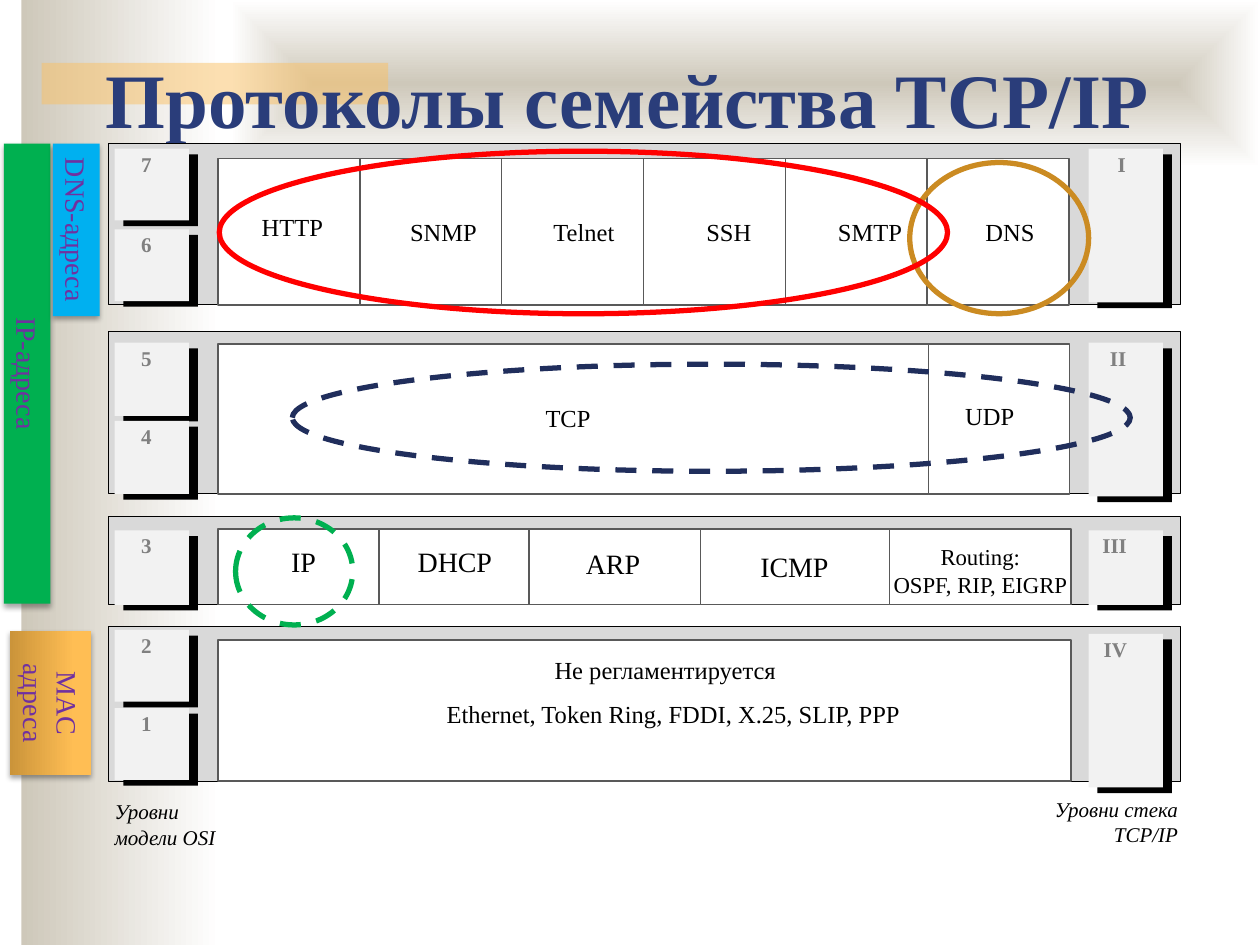
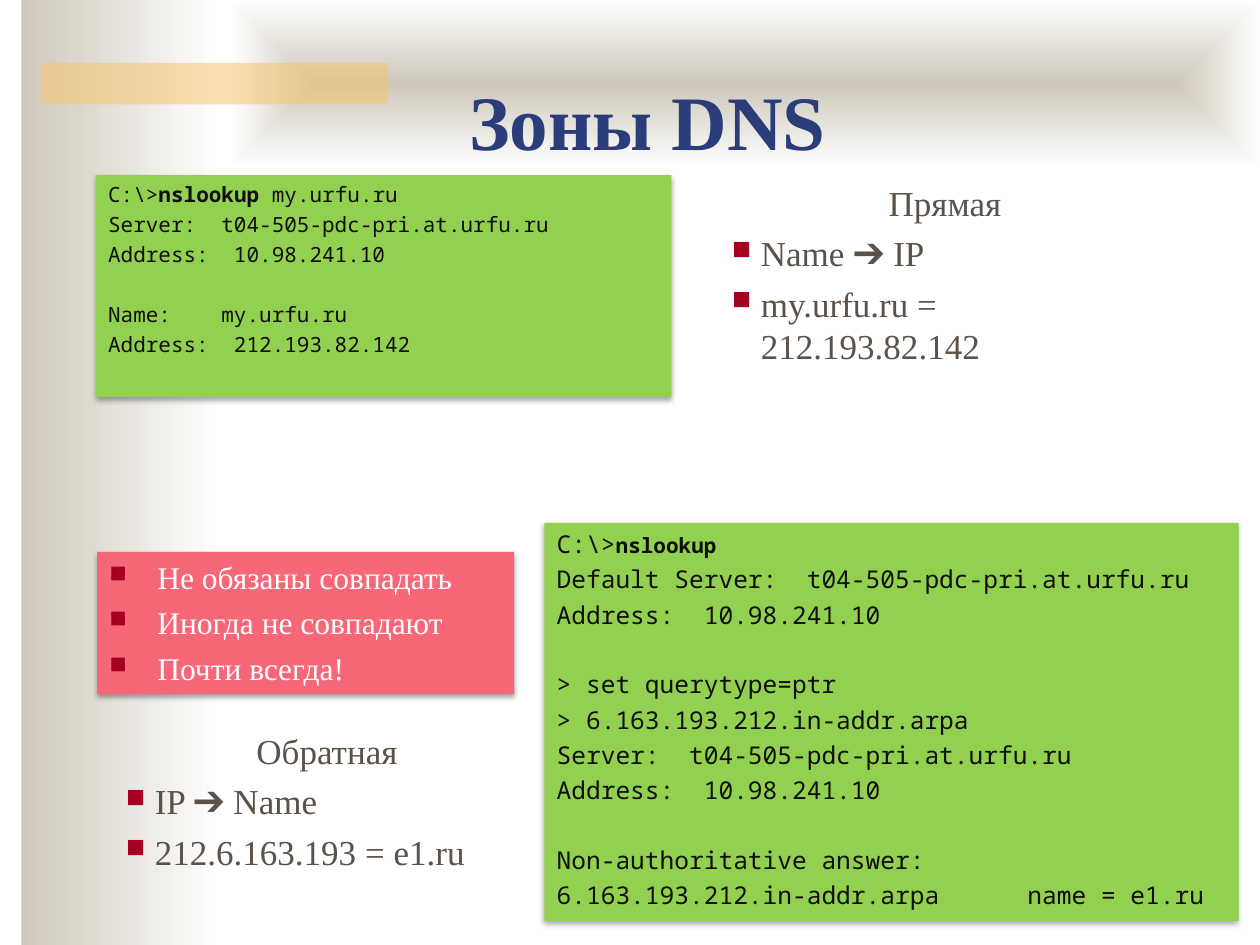
from dataclasses import dataclass
from itertools import accumulate
from typing import NamedTuple

from lxml import etree
from pptx import Presentation
from pptx.dml.color import RGBColor
from pptx.enum.dml import MSO_LINE_DASH_STYLE as Dash
from pptx.enum.shapes import MSO_SHAPE as Kind
from pptx.enum.text import MSO_ANCHOR as Anchor, PP_ALIGN as Align
from pptx.oxml.ns import qn
from pptx.util import Emu, Inches, Pt

# The slide is a grid of 100 columns by 75 rows of square cells.
WIDE, HIGH = Inches(10), Inches(7.5)
CELL = WIDE // 100

BLACK = RGBColor(0x00, 0x00, 0x00)
WHITE = RGBColor(0xFF, 0xFF, 0xFF)
SAND = RGBColor(0xCE, 0xC8, 0xBA)
AMBER = RGBColor(0xFA, 0xC1, 0x64)
NAVY = RGBColor(0x2A, 0x3D, 0x7A)
INK = RGBColor(0x20, 0x2E, 0x5C)
FRAME = RGBColor(0xD9, 0xD9, 0xD9)
TILE = RGBColor(0xF2, 0xF2, 0xF2)
GRAY = RGBColor(0x80, 0x80, 0x80)
EDGE = RGBColor(0x59, 0x59, 0x59)
GREEN = RGBColor(0x00, 0xB0, 0x50)
SKY = RGBColor(0x00, 0xB0, 0xF0)
RED = RGBColor(0xFF, 0x00, 0x00)
OCHRE = RGBColor(0xCB, 0x8B, 0x22)
BRONZE = RGBColor(0xCB, 0x94, 0x3A)
GOLD = RGBColor(0xFF, 0xBE, 0x54)
HONEY = RGBColor(0xFF, 0xBF, 0x56)
PLUM = RGBColor(0x70, 0x30, 0xA0)
LIME = RGBColor(0x92, 0xD0, 0x50)
CODE = RGBColor(0x10, 0x0E, 0x0C)
BROWN = RGBColor(0x5B, 0x52, 0x49)
ROSE = RGBColor(0xF7, 0x67, 0x78)
WINE = RGBColor(0xA5, 0x00, 0x21)

SERIF, MONO = "Times New Roman", "Noto Sans Mono"
BEFORE, BLANK = 0.24, 1.64  # space before a paragraph, in text sizes


class Box(NamedTuple):
    x: float
    y: float
    w: float
    h: float

    def emu(self) -> list[Emu]:
        return [Emu(round(n * CELL)) for n in self]


class Par(NamedTuple):
    text: str
    align: Align | None = None
    indent: float = 0
    blank: bool = False


@dataclass
class Cell:
    width: float
    label: str = ""
    left: float = 0
    top: float = 0
    span: float = 0
    size: int = 14
    align: Align = Align.CENTER


@dataclass
class Layer:
    top: float
    height: float
    tiles: dict[str, float]  # OSI level and its row
    tile: float
    stack: str
    start: float
    depth: float
    left: float
    inner: float
    cells: list[Cell]


class Ring(NamedTuple):
    box: Box
    tint: RGBColor
    dash: bool


class Tag(NamedTuple):
    text: str
    box: Box
    fill: RGBColor | None


LAYERS = [
    Layer(11.4, 12.8, {"7": 11.8, "6": 18.2}, 5.7, "I", 11.8, 12.2, 88.7, 12.6, [
        Cell(11.26, "HTTP", 18.6, 16.8, 9.2),
        Cell(11.26, "SNMP", 30.9, 17.2, 8.6),
        Cell(11.26, "Telnet", 43.3, 17.2, 6.1),
        Cell(11.26, "SSH", 54.2, 17.2, 7.3),
        Cell(11.26, "SMTP", 65, 17.2, 8.1),
        Cell(11.26, "DNS", 76.4, 17.2, 7.5)]),
    Layer(26.3, 12.9, {"5": 27.2, "4": 33.4}, 5.8, "II", 27.2, 12.2, 88.1, 27.3, [
        Cell(56.4, "TCP", 43.3, 32, 6.3, align=Align.LEFT),
        Cell(11.2, "UDP", 76.6, 31.8, 7.3, align=Align.LEFT)]),
    Layer(41, 7, {"3": 42.1}, 5.9, "III", 42.1, 5.9, 87.5, 42, [
        Cell(12.8, "IP", 21.9, 43.2, 4.4, 16),
        Cell(11.9, "DHCP", 33, 43.2, 6.2, 16),
        Cell(13.6, "ARP", 44.5, 43.4, 8.3, 16),
        Cell(15, "ICMP", 59, 43.6, 8.1, 16),
        Cell(14.4, "Routing:|OSPF, RIP, EIGRP", 70.3, 43.1, 15, 13)]),
    Layer(49.7, 12.3, {"2": 50, "1": 56.2}, 5.7, "IV", 50.3, 12.2, 87.6, 50.8, [
        Cell(67.7)]),
]
RINGS = [
    Ring(Box(18.7, 41.1, 9.3, 8.5), GREEN, True),
    Ring(Box(23.2, 28.9, 66.5, 8.5), INK, True),
    Ring(Box(72.2, 12.9, 14.2, 12), OCHRE, False),
    Ring(Box(17.4, 12, 57.8, 12.9), RED, False),
]
TAGS = [
    Tag("MAC\nадреса", Box(-1.7, 52.6, 11.4, 6.4), None),
    Tag("IP-адреса", Box(-16.1, 27.8, 36.5, 3.7), GREEN),
    Tag("DNS-адреса", Box(-0.8, 16.4, 13.7, 3.7), SKY),
]
FORWARD = [
    Par(r"C:\>*nslookup* my.urfu.ru"),
    Par("Server:  t04-505-pdc-pri.at.urfu.ru"),
    Par("Address:  10.98.241.10"),
    Par("Name:    my.urfu.ru", blank=True),
    Par("Address:  212.193.82.142"),
]
REVERSE = [
    Par(r"C:\>*nslookup*"),
    Par("Default Server:  t04-505-pdc-pri.at.urfu.ru"),
    Par("Address:  10.98.241.10"),
    Par("> set querytype=ptr", blank=True),
    Par("> 6.163.193.212.in-addr.arpa"),
    Par("Server:  t04-505-pdc-pri.at.urfu.ru"),
    Par("Address:  10.98.241.10"),
    Par("Non-authoritative answer:", blank=True),
    Par("6.163.193.212.in-addr.arpa      name = e1.ru"),
]


def node(root, tag: str, **attrs):
    return etree.SubElement(root, qn(tag), {k: str(v) for k, v in attrs.items()})


def write(shape, *pars: Par, size: float, tint=BLACK, font=SERIF, bold=False,
          italic=False, align=Align.LEFT, inset=(1, 0.5), anchor=Anchor.TOP,
          before=BEFORE, lead=None, mark=None) -> None:
    """Fill a shape with text; *stars* make bold runs of size `mark`."""
    frame = shape.text_frame
    frame.word_wrap, frame.vertical_anchor = True, anchor
    side, edge = (Emu(round(n * CELL)) for n in inset)
    frame.margin_left = frame.margin_right = side
    frame.margin_top = frame.margin_bottom = edge
    for i, par in enumerate(pars):
        p = frame.add_paragraph() if i else frame.paragraphs[0]
        p.alignment = par.align or align
        if lead:
            p.line_spacing = lead
        p.space_before = Pt(size * (BLANK if par.blank else before) if i else 0)
        if par.indent:
            bullet(p, par.indent)
        for j, part in enumerate(par.text.split("*")):
            for k, line in enumerate(part.split("\n")):
                if k:
                    p.add_line_break()
                if not line:
                    continue
                run = p.add_run()
                run.text = line
                face = run.font
                face.name, face.color.rgb = font, tint
                face.size = Pt(mark if j % 2 and mark else size)
                face.bold, face.italic = bold or j % 2 == 1, italic


def bullet(p, indent: float) -> None:
    pr = p._p.get_or_add_pPr()
    step = round(indent * CELL)
    pr.set("marL", str(step))
    pr.set("indent", str(-step))
    node(node(pr, "a:buClr"), "a:srgbClr", val=WINE)
    node(pr, "a:buSzPct", val=75000)
    node(pr, "a:buChar", char="■")


def draw(slide, box: Box, fill=None, line=None, width=0.85, kind=Kind.RECTANGLE):
    shape = slide.shapes.add_shape(kind, *box.emu())
    shape.shadow.inherit = False
    if fill is None:
        shape.fill.background()
    else:
        shape.fill.solid()
        shape.fill.fore_color.rgb = fill
    if line is None:
        shape.line.fill.background()
    else:
        shape.line.color.rgb = line
        shape.line.width = Pt(width)
    return shape


def label(slide, box: Box, *pars: Par, inset=(0, 0), **style) -> None:
    write(slide.shapes.add_textbox(*box.emu()), *pars, inset=inset, **style)


def blend(shape, *stops: tuple[int, RGBColor], angle: int | None = 0) -> None:
    """Give a gradient fill; no angle means one that follows the outline."""
    pr = shape._element.spPr
    grad = etree.Element(qn("a:gradFill"), rotWithShape="1")
    row = node(grad, "a:gsLst")
    for pos, tint in stops:
        node(node(row, "a:gs", pos=pos * 1000), "a:srgbClr", val=tint)
    if angle is None:
        way = node(grad, "a:path", path="shape")
        node(way, "a:fillToRect", l=50000, t=50000, r=50000, b=50000)
    else:
        node(grad, "a:lin", ang=angle * 60000, scaled=0)
    pr.replace(pr.find(qn("a:noFill")), grad)


def shade(shape) -> None:
    """Cast a soft shadow downwards."""
    cast = node(shape._element.spPr.find(qn("a:effectLst")), "a:outerShdw",
                blurRad=Pt(3.1), dist=Pt(1.8), dir=5400000, rotWithShape=0)
    node(node(cast, "a:srgbClr", val=BLACK), "a:alpha", val=35000)


def dress(slide) -> None:
    """Draw the bands and move them to the layout all slides share."""
    side = draw(slide, Box(1.7, 0, 15.8, 75))
    blend(side, (0, SAND), (100, WHITE))
    head = draw(slide, Box(18.3, 0, 81.7, 13.3))
    blend(head, (0, SAND), (100, WHITE), angle=None)
    stripe = draw(slide, Box(3.3, 5, 27.5, 3.3), AMBER)
    node(stripe._element.spPr.find(qn("a:solidFill"))[0], "a:alpha", val=50000)
    tree = slide.slide_layout.shapes._spTree
    for i, band in enumerate((side, head, stripe)):
        band._element.nvSpPr.cNvPr.set("id", str(90 + i))
        tree.insert(2 + i, band._element)


def start(deck, text: str, x: float, y: float):
    slide = deck.slides.add_slide(deck.slide_layouts[5])
    title = slide.shapes.title
    title.left, title.top, title.width, title.height = Box(x, y, 97.2, 11).emu()
    write(title, Par(text), size=44, tint=NAVY, bold=True, align=Align.CENTER,
          anchor=Anchor.MIDDLE, lead=0.8)
    return slide


def tile(slide, box: Box, text: str, left: float) -> None:
    draw(slide, box._replace(x=box.x + 0.7, y=box.y + 0.45), BLACK)
    draw(slide, box, TILE)
    label(slide, Box(left, box.y + 0.2, 5, 4), Par(text), size=12, tint=GRAY, bold=True)


def stack(slide, layer: Layer) -> None:
    draw(slide, Box(8.6, layer.top, 85.1, layer.height), FRAME, BLACK, 0.65)
    for text, y in layer.tiles.items():
        tile(slide, Box(9.1, y, 5.9, layer.tile), text, 11.2)
    tile(slide, Box(86.4, layer.start, 5.9, layer.depth), layer.stack, layer.left)
    edges = accumulate((cell.width for cell in layer.cells), initial=17.3)
    deep = layer.top + layer.height - layer.inner
    for x, cell in zip(edges, layer.cells):
        draw(slide, Box(x, layer.inner, cell.width, deep), WHITE, EDGE)
        if cell.label:
            label(slide, Box(cell.left, cell.top, cell.span, 3.1),
                  *map(Par, cell.label.split("|")), size=cell.size,
                  align=cell.align, before=0)


def family(slide) -> None:
    for layer in LAYERS:
        stack(slide, layer)
    for text, box in (("Не регламентируется", Box(39.9, 52, 25.8, 3.1)),
                      ("Ethernet, Token Ring, FDDI, X.25, SLIP, PPP",
                       Box(27.4, 55.5, 52.1, 3.1))):
        label(slide, box, Par(text), size=14, align=Align.CENTER)
    label(slide, Box(9.1, 63.4, 9.6, 3.1), Par("Уровни модели OSI"),
          size=12, italic=True)
    label(slide, Box(82, 63.2, 11.5, 3.1), Par("Уровни стека TCP/IP"),
          size=12, italic=True, align=Align.RIGHT)
    for ring in RINGS:
        oval = draw(slide, ring.box, line=ring.tint, width=3, kind=Kind.OVAL)
        if ring.dash:
            oval.line.dash_style = Dash.DASH
    for tag in TAGS:
        shape = draw(slide, tag.box, tag.fill)
        if tag.fill is None:
            blend(shape, (0, BRONZE), (80, GOLD), (100, HONEY), angle=270)
        shape.rotation = 90
        shade(shape)
        write(shape, Par(tag.text), size=16, tint=PLUM, align=Align.CENTER)


def zones(slide) -> None:
    for box, head, *points in (
            (Box(57.1, 13.9, 35.8, 16.5), "Прямая",
             "Name ➔ IP", "my.urfu.ru = 212.193.82.142"),
            (Box(9, 57.4, 33.9, 12.5), "Обратная",
             "IP ➔ Name", "212.6.163.193 = e1.ru")):
        label(slide, box, Par(head, Align.CENTER),
              *(Par(point, indent=2.3) for point in points),
              size=20, tint=BROWN, inset=(1, 0.5))
    facts = "Не обязаны совпадать", "Иногда не совпадают", "Почти всегда!"
    notes = [Par(fact, indent=3.8) for fact in facts]
    for box, fill, pars, style in (
            (Box(7.6, 13.9, 45.7, 17.6), LIME, FORWARD,
             dict(size=12, tint=CODE, font=MONO)),
            (Box(43.2, 41.5, 55.1, 31.6), LIME, REVERSE,
             dict(size=14, tint=CODE, font=MONO, mark=12)),
            (Box(7.7, 43.8, 33.1, 11.3), ROSE, notes, dict(size=18, tint=WHITE))):
        card = draw(slide, box, fill)
        shade(card)
        write(card, *pars, **style)


def main() -> None:
    deck = Presentation()
    deck.slide_width, deck.slide_height = WIDE, HIGH
    first = start(deck, "Протоколы семейства TCP/IP", 1.2, 2.9)
    dress(first)
    family(first)
    zones(start(deck, "Зоны DNS", 2.8, 4.7))
    deck.save("out.pptx")


if __name__ == "__main__":
    main()
